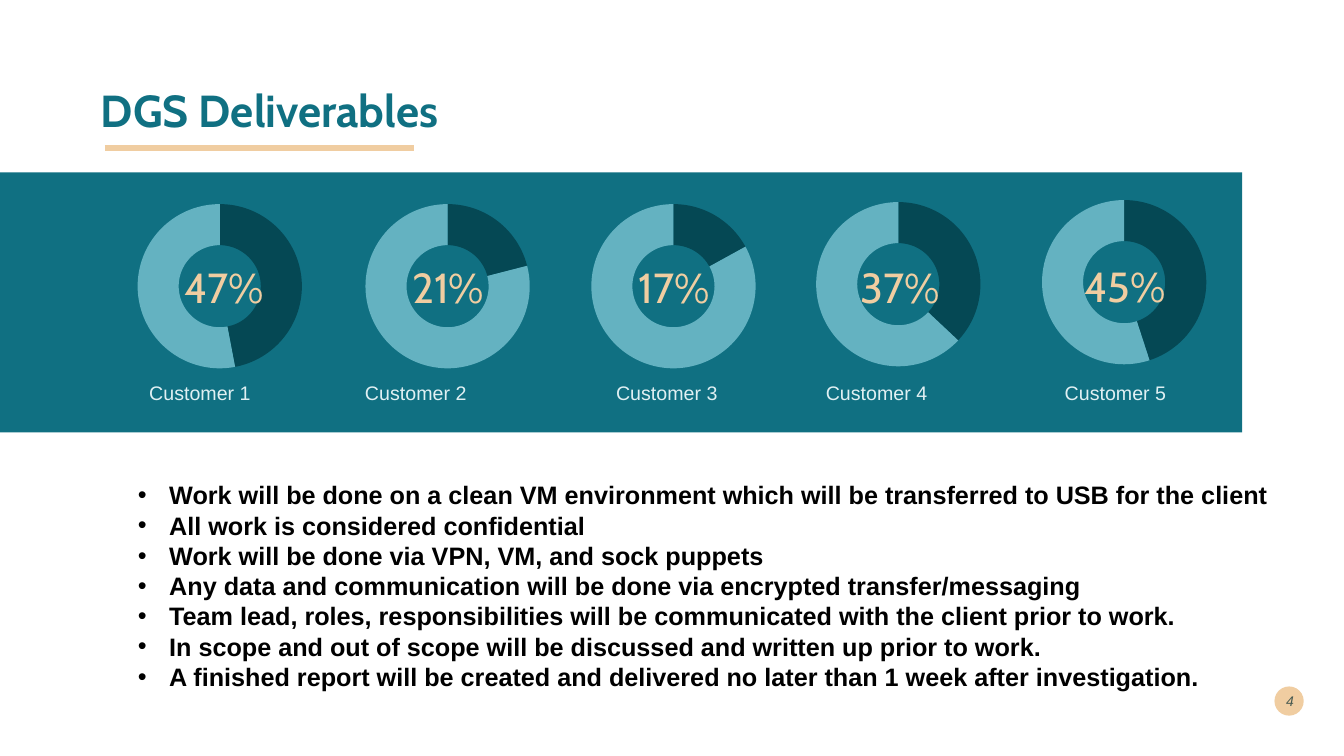
import pptx
import pptx.chart.data
import pptx.dml.color
import pptx.enum.chart
import pptx.enum.shapes
import pptx.enum.text
import pptx.oxml
import pptx.oxml.ns
import pptx.util
from pptx.util import Inches, Pt

TITLE = "DGS Deliverables"
PAGE = "4"
# name, percent, chart (left, top, width), text (left, width), percent top
CUSTOMERS = [
    ("Customer 1", 47, (1.1, 1.89, 2.16), (1.48, 1.49), 2.58),
    ("Customer 2", 21, (3.23, 1.89, 2.42), (3.62, 1.65), 2.58),
    ("Customer 3", 17, (5.47, 1.89, 2.42), (6.11, 1.15), 2.58),
    ("Customer 4", 37, (7.7, 1.87, 2.42), (8.19, 1.48), 2.58),
    ("Customer 5", 45, (9.94, 1.85, 2.42), (10.56, 1.2), 2.57),
]
TERMS = [
    "Work will be done on a clean VM environment which will be transferred to USB for the client",
    "All work is considered confidential",
    "Work will be done via VPN, VM, and sock puppets",
    "Any data and communication will be done via encrypted transfer/messaging",
    "Team lead, roles, responsibilities will be communicated with the client prior to work.",
    "In scope and out of scope will be discussed and written up prior to work.",
    "A finished report will be created and delivered no later than 1 week after investigation.",
]
COLORS = {"teal": "107082", "sand": "F0CDA1", "dark": "054854", "light": "64B2C1",
          "pale": "E0F0F3", "page": "00292E", "black": "000000"}
CHART_H, RING = 1.9, 1.63
ALIGN = pptx.enum.text.PP_ALIGN
ANCHOR = pptx.enum.text.MSO_ANCHOR
SHAPE = pptx.enum.shapes.MSO_SHAPE
qn = pptx.oxml.ns.qn


def rgb(name):
    return pptx.dml.color.RGBColor.from_string(COLORS[name])


def write(p, text, size, color, font="Arial", bold=False, italic=False, align=ALIGN.LEFT):
    p.alignment = align
    r = p.add_run()
    r.text = text
    r.font.size, r.font.name = Pt(size), font
    r.font.bold, r.font.italic = bold, italic
    r.font.color.rgb = rgb(color)
    return r


def text_frame(s, left, top, width, height, insets=(0, 0.01, 0, 0), wrap=True):
    tf = s.shapes.add_textbox(Inches(left), Inches(top), Inches(width), Inches(height)).text_frame
    tf.word_wrap = wrap
    tf.margin_left, tf.margin_top, tf.margin_right, tf.margin_bottom = map(Inches, insets)
    return tf


def add_plain_shape(s, kind, color, *box):
    sp = s.shapes.add_shape(kind, *map(Inches, box))
    sp.shadow.inherit = False
    sp.fill.solid()
    sp.fill.fore_color.rgb = rgb(color)
    sp.line.fill.background()


def add_ring(s, percent, left, top, width):
    data = pptx.chart.data.CategoryChartData()
    data.categories = ["1", "2"]
    data.add_series("Series 1", (percent, 100 - percent))
    chart = s.shapes.add_chart(pptx.enum.chart.XL_CHART_TYPE.DOUGHNUT, Inches(left), Inches(top),
                               Inches(width), Inches(CHART_H), data).chart
    chart.has_legend = chart.has_title = False
    chart.font.size, chart.font.name = Pt(10), "Arial"
    chart.font.color.rgb = rgb("black")
    plot = chart.plots[0]
    plot.has_data_labels = False
    plot.vary_by_categories = True
    for i, color in enumerate(("dark", "light")):
        fmt = plot.series[0].points[i].format
        fmt.fill.solid()
        fmt.fill.fore_color.rgb = rgb(color)
        fmt.line.fill.background()
    plot._element.find(qn("c:holeSize")).set("val", "67")
    # Centre the ring in the chart frame
    area = plot._element.getparent()
    for old in area.findall(qn("c:layout")):
        area.remove(old)
    w, h = RING / width, RING / CHART_H
    values = (("x", (1 - w) / 2), ("y", (1 - h) / 2), ("w", w), ("h", h))
    area.insert(0, pptx.oxml.parse_xml(
        '<c:layout xmlns:c="http://schemas.openxmlformats.org/drawingml/2006/chart">'
        '<c:manualLayout><c:layoutTarget val="inner"/><c:xMode val="edge"/><c:yMode val="edge"/>'
        + "".join(f'<c:{k} val="{v:.4f}"/>' for k, v in values)
        + "</c:manualLayout></c:layout>"))


def add_bullet(p):
    pPr = p._p.get_or_add_pPr()
    pPr.set("marL", str(Inches(0.31)))
    pPr.set("indent", str(-Inches(0.31)))
    pPr.append(pptx.oxml.parse_xml(
        f'<a:buFont {pptx.oxml.ns.nsdecls("a")} typeface="Arial"/>'))
    pPr.append(pptx.oxml.parse_xml(f'<a:buChar {pptx.oxml.ns.nsdecls("a")} char="•"/>'))


def main():
    prs = pptx.Presentation()
    prs.slide_width, prs.slide_height = Inches(13.33), Inches(7.5)
    s = prs.slides.add_slide(prs.slide_layouts[5])

    add_plain_shape(s, SHAPE.OVAL, "sand", 12.64, 6.81, 0.29, 0.29)
    add_plain_shape(s, SHAPE.RECTANGLE, "teal", 0, 1.71, 12.32, 2.58)
    tf = text_frame(s, 12.54, 6.75, 0.39, 0.4, insets=(0.1, 0.05, 0.1, 0.05))
    tf.vertical_anchor = ANCHOR.MIDDLE
    r = write(tf.paragraphs[0], PAGE, 10, "page", italic=True, align=ALIGN.RIGHT)
    r._r.find(".//" + qn("a:srgbClr")).append(pptx.oxml.parse_xml(
        f'<a:alpha {pptx.oxml.ns.nsdecls("a")} val="70000"/>'))

    title = s.shapes.title
    title.left, title.top, title.width, title.height = map(Inches, (0.9, 0.4, 11.5, 1.45))
    title.text_frame.vertical_anchor = ANCHOR.MIDDLE
    p = title.text_frame.paragraphs[0]
    p.line_spacing = 0.9
    write(p, TITLE, 32, "teal", font="Cabin", bold=True)

    for name, percent, ring, (left, width), top in CUSTOMERS:
        add_ring(s, percent, *ring)
        p = text_frame(s, left, top, width, 0.52).paragraphs[0]
        p.space_before = Pt(1)
        write(p, f"{percent}%", 30, "sand", font="Cabin", align=ALIGN.CENTER)
        p = text_frame(s, left, 3.77, width, 0.25).paragraphs[0]
        p.space_before = Pt(1)
        write(p, name, 14, "pale")

    rule = s.shapes.add_connector(pptx.enum.shapes.MSO_CONNECTOR.STRAIGHT,
                                  Inches(1.04), Inches(1.47), Inches(4.11), Inches(1.47))
    rule.line.color.rgb = rgb("sand")
    rule.line.width = Pt(4.32)
    rule._element.spPr.append(pptx.oxml.parse_xml(
        f'<a:effectLst {pptx.oxml.ns.nsdecls("a")}/>'))

    tf = text_frame(s, 1.27, 4.71, 11.52, 2.22, insets=(0.1, 0.05, 0.1, 0.05), wrap=False)
    for i, term in enumerate(TERMS):
        p = tf.add_paragraph() if i else tf.paragraphs[0]
        write(p, term, 18, "black", bold=True)
        add_bullet(p)

    prs.save("out.pptx")


if __name__ == "__main__":
    main()
